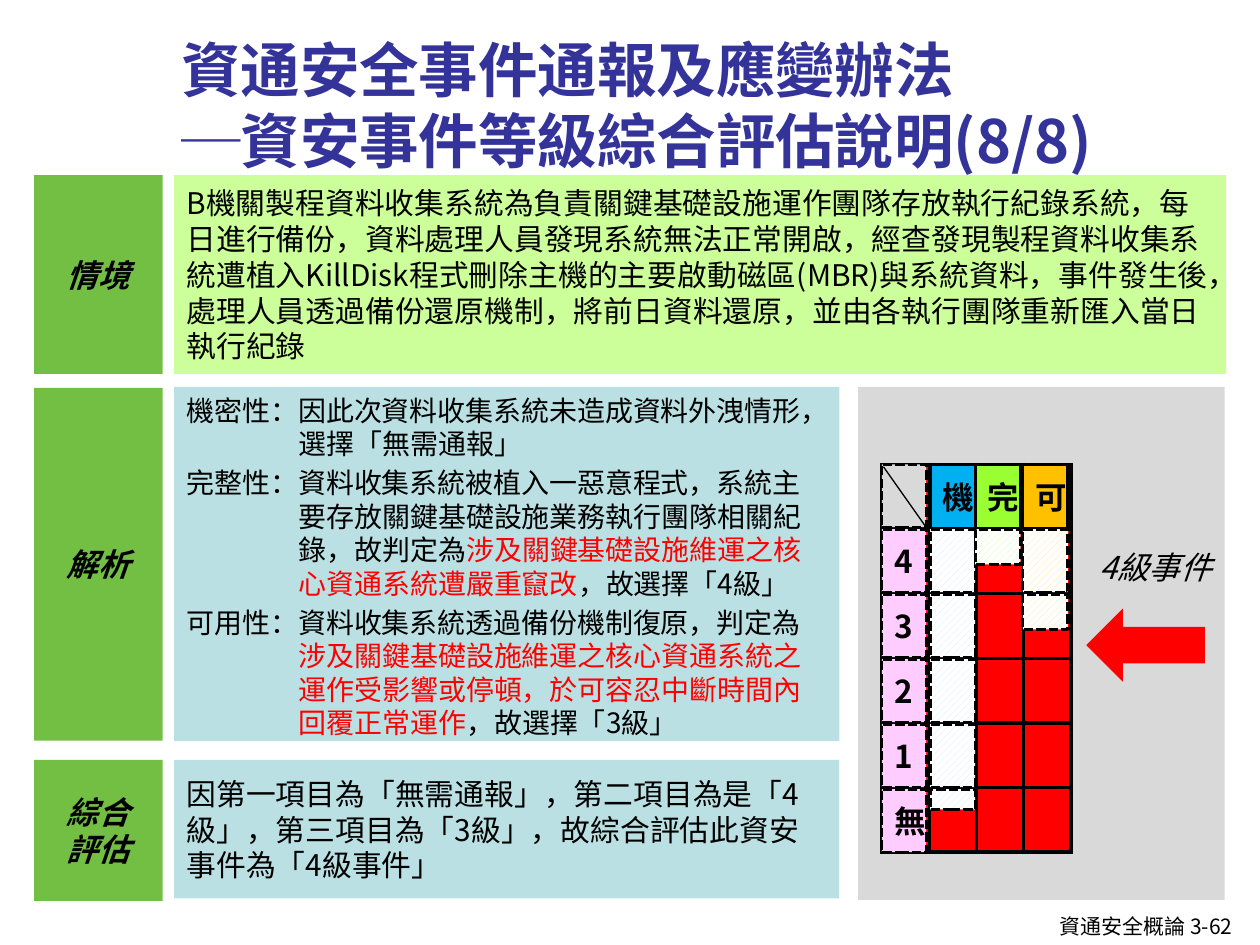
from lxml import etree
from pptx import Presentation
from pptx.dml.color import RGBColor
from pptx.enum.dml import MSO_LINE, MSO_PATTERN
from pptx.enum.shapes import MSO_CONNECTOR, MSO_SHAPE
from pptx.enum.text import MSO_ANCHOR, MSO_AUTO_SIZE, PP_ALIGN
from pptx.oxml.ns import qn
from pptx.util import Cm, Pt

FONT = "Noto Sans CJK SC"
BLACK = RGBColor(0x00, 0x00, 0x00)
WHITE = RGBColor(0xFF, 0xFF, 0xFF)
RED = RGBColor(0xFF, 0x00, 0x00)
NAVY = RGBColor(0x33, 0x33, 0x99)
GREEN = RGBColor(0x72, 0xBF, 0x44)
LIME = RGBColor(0xCC, 0xFF, 0x99)
TEAL = RGBColor(0xBB, 0xE0, 0xE3)
GREY = RGBColor(0xD9, 0xD9, 0xD9)
PINK = RGBColor(0xFF, 0xCC, 0xFF)
BLUE = RGBColor(0x00, 0xB0, 0xF0)
PALE_BLUE = RGBColor(0xCC, 0xEC, 0xFF)
BRIGHT_GREEN = RGBColor(0x99, 0xFF, 0x33)
ORANGE = RGBColor(0xFF, 0xC0, 0x00)
PALE_ORANGE = RGBColor(0xFF, 0xE3, 0x8B)

TITLE = "資通安全事件通報及應變辦法\v─資安事件等級綜合評估說明(8/8)"
SITUATION = (
    "B機關製程資料收集系統為負責關鍵基礎設施運作團隊存放執行紀錄系統，每日進行備份，"
    "資料處理人員發現系統無法正常開啟，經查發現製程資料收集系統遭植入KillDisk程式"
    "刪除主機的主要啟動磁區(MBR)與系統資料，事件發生後，處理人員透過備份還原機制，"
    "將前日資料還原，並由各執行團隊重新匯入當日執行紀錄"
)
# Each paragraph alternates plain and highlighted runs.
ANALYSIS = [
    ["機密性：因此次資料收集系統未造成資料外洩情形，選擇「無需通報」"],
    ["完整性：資料收集系統被植入一惡意程式，系統主要存放關鍵基礎設施業務執行團隊相關紀錄，故判定為",
     "涉及關鍵基礎設施維運之核心資通系統遭嚴重竄改", "，故選擇「4級」"],
    ["可用性：資料收集系統透過備份機制復原，判定為",
     "涉及關鍵基礎設施維運之核心資通系統之運作受影響或停頓，於可容忍中斷時間內回覆正常運作",
     "，故選擇「3級」"],
]
CONCLUSION = "因第一項目為「無需通報」，第二項目為是「4級」，第三項目為「3級」，故綜合評估此資安事件為「4級事件」"
LEVELS = ["4", "3", "2", "1", "無"]
# Aspect, offset, header colour, hatch colour, whole empty levels, height of the part-empty one
ASPECTS = [
    ("機", 0.97, BLUE, PALE_BLUE, 4, 0.41),
    ("完", 1.88, BRIGHT_GREEN, LIME, 0, 0.71),
    ("可", 2.84, ORANGE, PALE_ORANGE, 1, 0.71),
]


def write(frame, *paragraphs, size=18, color=BLACK, bold=False, italic=False,
          align=PP_ALIGN.LEFT, anchor=MSO_ANCHOR.MIDDLE, wrap=True, hanging=0, after=0):
    """Fill a text frame; a paragraph is a string or a list of plain and red runs in turn."""
    frame.word_wrap = wrap
    frame.auto_size = MSO_AUTO_SIZE.NONE
    frame.vertical_anchor = anchor
    for i, content in enumerate(paragraphs):
        paragraph = frame.paragraphs[0] if i == 0 else frame.add_paragraph()
        paragraph.alignment = align
        paragraph.space_before = Pt(0)
        paragraph.space_after = Pt(after)
        if hanging:
            properties = paragraph._p.get_or_add_pPr()
            properties.set("marL", str(Cm(hanging)))
            properties.set("indent", str(-Cm(hanging)))
            etree.SubElement(properties, qn("a:buNone"))
        paragraph.text = content if isinstance(content, str) else ""
        if not isinstance(content, str):
            for part in content:
                paragraph.add_run().text = part
        for j, run in enumerate(paragraph.runs):
            font = run.font
            font.name, font.size, font.bold, font.italic = FONT, Pt(size), bold, italic
            font.color.rgb = RED if j % 2 and len(content) == len(paragraph.runs) else color
            etree.SubElement(run._r.get_or_add_rPr(), qn("a:ea"), typeface=FONT)


def place(shape, left, top, width, height):
    shape.left, shape.top, shape.width, shape.height = map(Cm, (left, top, width, height))


def add_block(slide, left, top, width, height, fill, hatch=None, line=None, dashed=False,
              kind=MSO_SHAPE.RECTANGLE):
    block = slide.shapes.add_shape(kind, Cm(left), Cm(top), Cm(width), Cm(height))
    block.shadow.inherit = False
    if hatch is None:
        block.fill.solid()
        block.fill.fore_color.rgb = fill
    else:
        block.fill.patterned()
        block.fill.pattern = MSO_PATTERN.WIDE_UPWARD_DIAGONAL
        block.fill.fore_color.rgb, block.fill.back_color.rgb = hatch, fill
    if line is None:
        block.line.fill.background()
    else:
        block.line.color.rgb, block.line.width = line, Pt(1.75)
        if dashed:
            block.line.dash_style = MSO_LINE.SQUARE_DOT
    return block


def add_text_box(slide, left, top, width, height, text, **text_format):
    box = slide.shapes.add_textbox(Cm(left), Cm(top), Cm(width), Cm(height))
    write(box.text_frame, text, anchor=MSO_ANCHOR.TOP, **text_format)


def add_label(slide, left, top, width, height, *lines):
    label = add_block(slide, left, top, width, height, GREEN)
    write(label.text_frame, *lines, bold=True, italic=True, align=PP_ALIGN.CENTER)


def add_statement(slide, left, top, width, height, text, fill):
    write(add_block(slide, left, top, width, height, fill).text_frame, text, size=17)


def fill_analysis(body, left, top, width, height):
    place(body, left, top, width, height)
    body.fill.solid()
    body.fill.fore_color.rgb = TEAL
    write(body.text_frame, *ANALYSIS, size=16, anchor=MSO_ANCHOR.TOP, hanging=2.26, after=3)


def add_red_grid(slide, left, top, width, height):
    rows, columns = len(LEVELS) + 1, len(ASPECTS) + 1
    table = slide.shapes.add_table(rows, columns, Cm(left), Cm(top), Cm(width), Cm(height)).table
    for row in table.rows:
        row.height = Cm(height / rows)
    for column in table.columns:
        column.width = Cm(width / columns)
    for cell in table.iter_cells():
        properties = cell._tc.get_or_add_tcPr()
        for side in ("a:lnL", "a:lnR", "a:lnT", "a:lnB"):
            border = etree.SubElement(properties, qn(side), w=str(Pt(2.25)))
            solid = etree.SubElement(border, qn("a:solidFill"))
            etree.SubElement(solid, qn("a:srgbClr"), val=str(BLACK))
        cell.fill.solid()
        cell.fill.fore_color.rgb = RED


def add_level_chart(slide, left, top, width, height):
    """Red grid whose unreached levels are covered by hatched cells."""
    add_red_grid(slide, left, top, width, height)
    step, cell_width, cell_height = 1.31, 0.91, 1.27
    header = {"bold": True, "align": PP_ALIGN.CENTER}

    for i, level in enumerate(LEVELS, start=1):
        cell = add_block(slide, left, top + i * step, 0.89, cell_height, PINK, line=BLACK, dashed=True)
        write(cell.text_frame, level, **header)
    for aspect, offset, color, hatch, whole, part in ASPECTS:
        head = add_block(slide, left + offset, top, cell_width, 1.3, color, line=BLACK)
        write(head.text_frame, aspect, **header)
        for i, empty in enumerate([cell_height] * whole + [part], start=1):
            add_block(slide, left + offset, top + i * step, cell_width, empty, WHITE,
                      hatch=hatch, line=BLACK, dashed=True)

    add_block(slide, left, top, 0.89, cell_height, GREY, line=BLACK, dashed=True)
    diagonal = slide.shapes.add_connector(
        MSO_CONNECTOR.STRAIGHT, Cm(left + 0.03), Cm(top + 0.05), Cm(left + 0.89), Cm(top + 1.27))
    diagonal.line.color.rgb, diagonal.line.width = BLACK, Pt(0.75)
    etree.SubElement(diagonal._element.spPr, qn("a:effectLst"))


def add_result_panel(slide, left, top, width, height):
    add_block(slide, left, top, width, height, GREY)
    add_block(slide, left + 4.6, top + 4.47, 2.39, 1.47, RED, kind=MSO_SHAPE.LEFT_ARROW)
    add_text_box(slide, left + 4.6, top + 3.12, 2.79, 1.24, "4級事件", italic=True,
                 align=PP_ALIGN.CENTER)
    add_level_chart(slide, left + 0.48, top + 1.56, 3.81, 7.82)


def main():
    presentation = Presentation()
    presentation.slide_width, presentation.slide_height = Cm(25.4), Cm(19.05)
    slide = presentation.slides.add_slide(presentation.slide_layouts[1])
    title, body = slide.placeholders

    place(title, 3.4, 0.53, 20.73, 2.59)
    write(title.text_frame, TITLE, size=34, color=NAVY, bold=True, anchor=MSO_ANCHOR.TOP)
    add_text_box(slide, 21.11, 18.29, 4.29, 0.76, "資通安全概論 3-62", size=12, wrap=False)

    label_left, label_width = 0.69, 2.59
    content_left, content_width = 3.51, 13.41
    add_label(slide, label_left, 3.53, label_width, 4.01, "情境")
    add_statement(slide, content_left, 3.53, 21.21, 4.01, SITUATION, LIME)
    add_label(slide, label_left, 7.82, label_width, 7.11, "解析")
    fill_analysis(body, content_left, 7.8, content_width, 7.14)
    add_label(slide, label_left, 15.32, label_width, 2.84, "綜合", "評估")
    add_statement(slide, content_left, 15.32, content_width, 2.79, CONCLUSION, TEAL)
    add_result_panel(slide, 17.3, 7.8, 7.39, 10.34)
    presentation.save("out.pptx")


if __name__ == "__main__":
    main()
